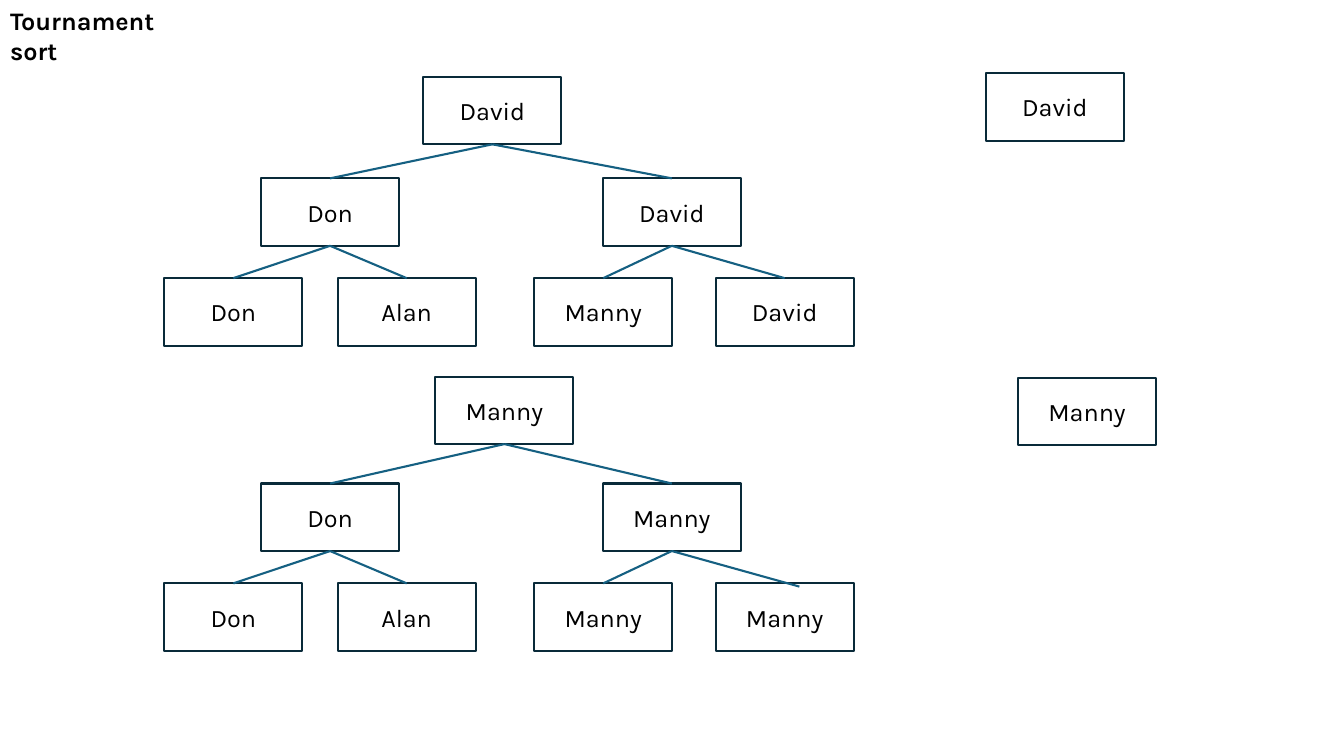
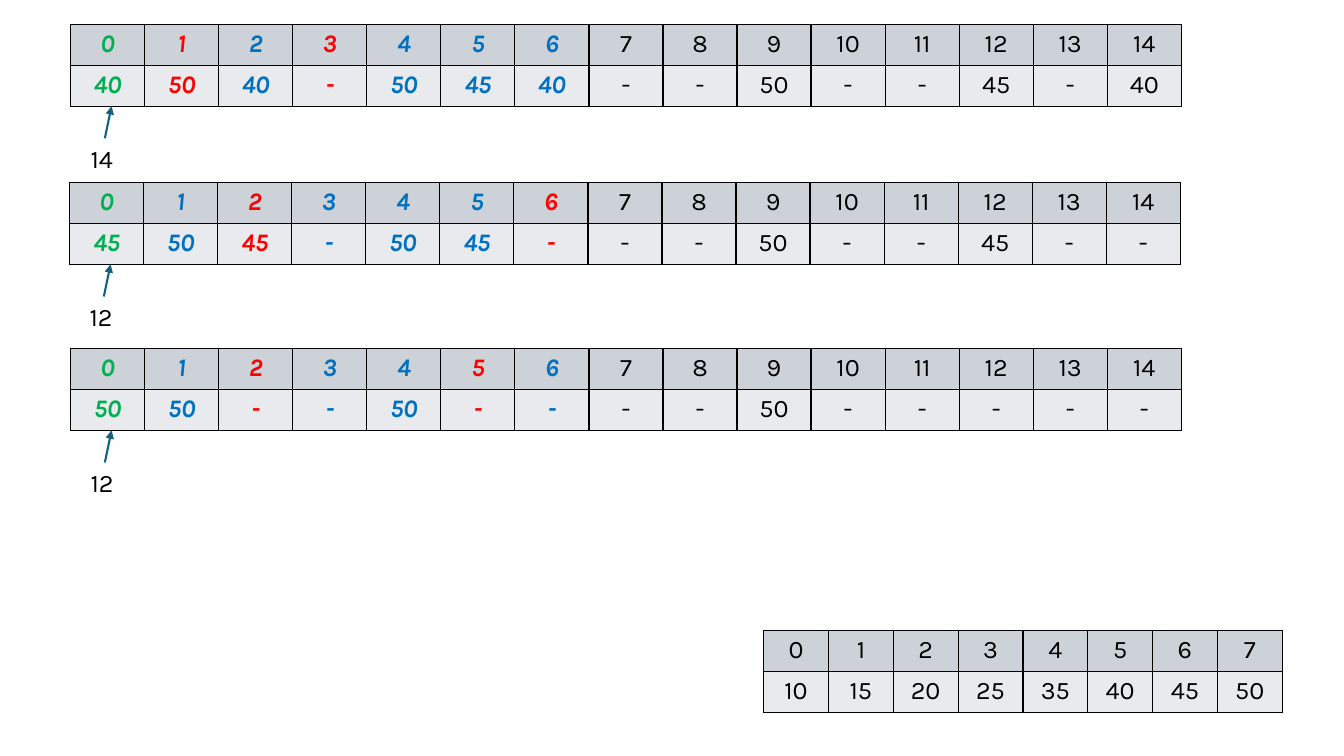
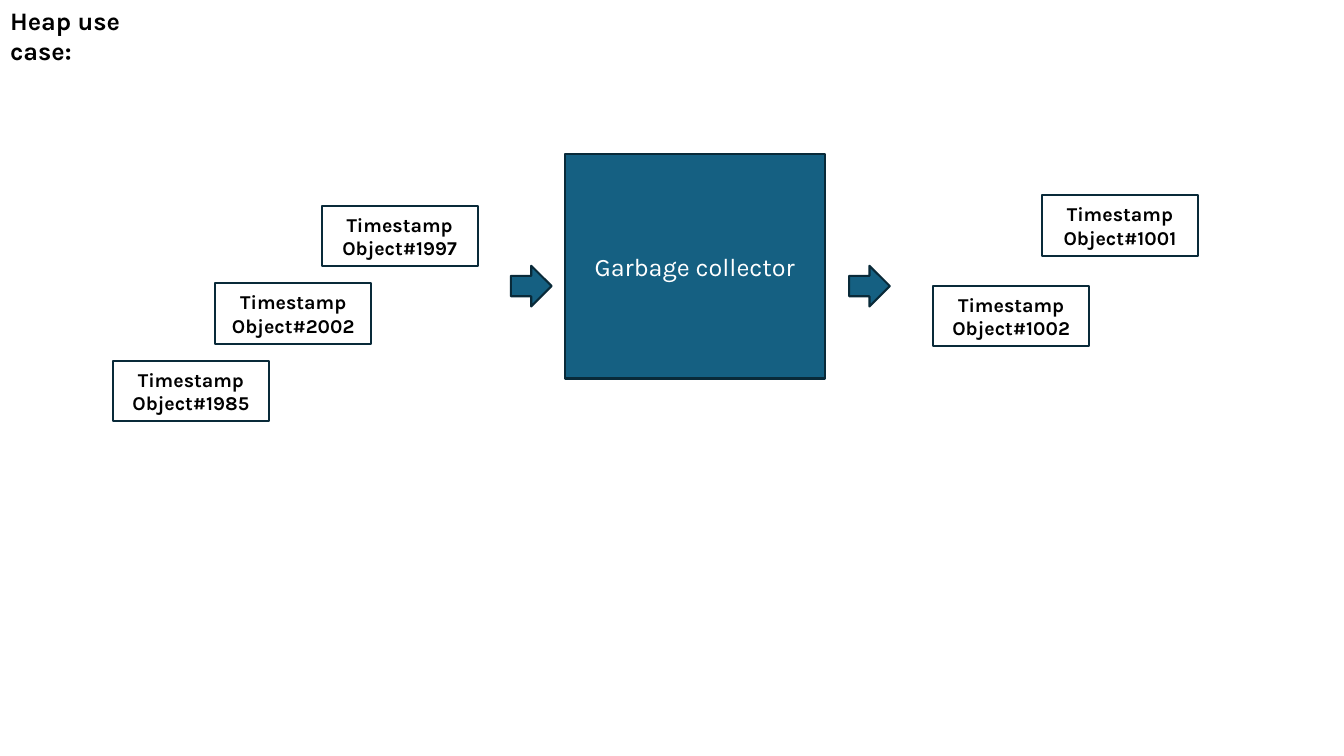
from dataclasses import dataclass

from lxml.etree import SubElement
from pptx import Presentation
from pptx.dml.color import RGBColor
from pptx.enum.shapes import MSO_CONNECTOR, MSO_SHAPE
from pptx.enum.text import MSO_ANCHOR, MSO_AUTO_SIZE, PP_ALIGN
from pptx.oxml.ns import qn
from pptx.util import Pt


@dataclass(frozen=True)
class Theme:
    font: str = "Karla"
    body_size: int = 18
    small_size: int = 14
    line_width: float = 1.5
    border_width: float = 1
    text: str = "000000"
    light_text: str = "FFFFFF"
    accent: str = "156082"
    outline: str = "092A39"
    index_fill: str = "CCD2D8"
    value_fill: str = "E8EAED"
    winner: str = "00B050"
    changed: str = "FF0000"
    inner_node: str = "0070C0"


THEME = Theme()
SLIDE_SIZE = (960, 540)
TITLE_ONLY, BLANK = 5, 6
TOP_SITE, BOTTOM_SITE = 0, 2

# Tournament trees
NODE_SIZE = (98.6, 48.2)
LEAF_LEFTS = (117.4, 241.2, 381.6, 511.2)
MIDDLE_LEFTS = (186.5, 430.6)
MIDDLE_RISE = 71.3
# root: left, top; output: left, top; last_link: end of the last leaf's line
TREES = [
    {
        "leaves": ("Don", "Alan", "Manny", "David"),
        "middle": ("Don", "David"),
        "winner": "David",
        "leaf_top": 198.7,
        "root": (302.4, 54.9),
        "output": (704.2, 52.3),
        "last_link": None,
    },
    {
        "leaves": ("Don", "Alan", "Manny", "Manny"),
        "middle": ("Don", "Manny"),
        "winner": "Manny",
        "leaf_top": 416.7,
        "root": (311, 269),
        "output": (727.2, 270),
        "last_link": (571, 419),
    },
]

# Tree arrays
ROW_HEIGHT = 29.2
INNER_NODE_COUNT = 7
ARRAYS = [
    {
        "at": (50.4, 17.4),
        "values": "40 50 40 - 50 45 40 - - 50 - - 45 - 40".split(),
        "changed": {1, 3},
        "pointer": "14",
    },
    {
        "at": (49.7, 130.4),
        "values": "45 50 45 - 50 45 - - - 50 - - 45 - -".split(),
        "changed": {2, 6},
        "pointer": "12",
    },
    {
        "at": (50.4, 249),
        "values": "50 50 - - 50 - - - - 50 - - - - -".split(),
        "changed": {2, 5},
        "pointer": "12",
    },
]
ARRAY_COLUMN, SORTED_COLUMN = 52.9, 46.3
SORTED_AT = (545.5, 450.4)
SORTED_VALUES = "10 15 20 25 35 40 45 50".split()

# Garbage collector
COLLECTOR_BOX = (403.6, 109.8, 185.4, 160.6)
ARROW_LEFTS, ARROW_TOP, ARROW_SIZE = (364.9, 606.5), 189.8, 29.1
OBJECT_SIZE = (111.6, 43.2)
OBJECTS = [
    ("1997", 229.7, 147.1),
    ("2002", 153.7, 202.4),
    ("1985", 80.6, 257.8),
    ("1001", 744.2, 139.6),
    ("1002", 666.5, 204.2),
]


def points(*values):
    return [Pt(value) for value in values]


def apply_format(target, values):
    for name, value in values.items():
        setattr(target, name, value)


def write(frame, lines, align=PP_ALIGN.CENTER, size=THEME.body_size,
          color=THEME.text, bold=False, italic=False):
    font_format = {"name": THEME.font, "size": Pt(size), "bold": bold, "italic": italic}
    for index, line in enumerate(lines):
        paragraph = frame.add_paragraph() if index else frame.paragraphs[0]
        paragraph.alignment = align
        run = paragraph.add_run()
        run.text = line
        apply_format(run.font, font_format)
        run.font.color.rgb = RGBColor.from_string(color)


def add_title(slide, text, width):
    title = slide.shapes.title
    left, top, width, height = points(0, 0, width, 50)
    apply_format(title, {"left": left, "top": top, "width": width, "height": height})
    apply_format(title.text_frame, {
        "word_wrap": True,
        "auto_size": MSO_AUTO_SIZE.NONE,
        "vertical_anchor": MSO_ANCHOR.TOP,
    })
    write(title.text_frame, [text], PP_ALIGN.LEFT, bold=True)


def add_box(slide, box, lines=(), kind=MSO_SHAPE.RECTANGLE, fill=None, **text_format):
    shape = slide.shapes.add_shape(kind, *points(*box))
    shape.shadow.inherit = False
    if fill:
        shape.fill.solid()
        shape.fill.fore_color.rgb = RGBColor.from_string(fill)
    else:
        shape.fill.background()
    shape.line.color.rgb = RGBColor.from_string(THEME.outline)
    shape.line.width = Pt(THEME.line_width)
    apply_format(shape.text_frame, {"word_wrap": True, "vertical_anchor": MSO_ANCHOR.MIDDLE})
    write(shape.text_frame, lines, **text_format)
    return shape


def add_line(slide, start=(0, 0), end=(0, 0), arrow=False):
    line = slide.shapes.add_connector(MSO_CONNECTOR.STRAIGHT, *points(*start, *end))
    line.line.color.rgb = RGBColor.from_string(THEME.accent)
    line.line.width = Pt(THEME.line_width)
    if arrow:
        SubElement(line.line._get_or_add_ln(), qn("a:tailEnd"), type="triangle")
    SubElement(line._element.spPr, qn("a:effectLst"))
    return line


def link(slide, child, parent, child_end=None):
    """Joins a child's top to its parent's bottom, or starts at a free point."""
    line = add_line(slide, child_end or (0, 0))
    if child_end is None:
        line.begin_connect(child, TOP_SITE)
    line.end_connect(parent, BOTTOM_SITE)


def add_tree(slide, tree):
    def add_level(names, lefts, top):
        return [add_box(slide, (left, top, *NODE_SIZE), [name])
                for name, left in zip(names, lefts)]

    leaves = add_level(tree["leaves"], LEAF_LEFTS, tree["leaf_top"])
    middle = add_level(tree["middle"], MIDDLE_LEFTS, tree["leaf_top"] - MIDDLE_RISE)
    root, _ = [add_box(slide, (*tree[place], *NODE_SIZE), [tree["winner"]])
               for place in ("root", "output")]
    for index, leaf in enumerate(leaves):
        child_end = tree["last_link"] if leaf is leaves[-1] else None
        link(slide, leaf, middle[index // 2], child_end)
    for node in middle:
        link(slide, node, root)


def draw_borders(cell):
    properties = cell._tc.get_or_add_tcPr()
    for side in ("lnL", "lnR", "lnT", "lnB"):
        border = SubElement(properties, qn(f"a:{side}"), w=str(Pt(THEME.border_width)))
        fill = SubElement(border, qn("a:solidFill"))
        SubElement(fill, qn("a:srgbClr"), val=THEME.text)


def add_array(slide, at, values, column_width, text_format=lambda index: {}):
    """Draws a row of indexes above a row of values."""
    count = len(values)
    table = slide.shapes.add_table(
        2, count, *points(*at, column_width * count, 2 * ROW_HEIGHT)).table
    apply_format(table, {"first_row": False, "horz_banding": False})
    for column in table.columns:
        column.width = Pt(column_width)
    rows = [(THEME.index_fill, map(str, range(count))), (THEME.value_fill, values)]
    for row, (fill, texts) in enumerate(rows):
        table.rows[row].height = Pt(ROW_HEIGHT)
        for index, text in enumerate(texts):
            cell = table.cell(row, index)
            draw_borders(cell)
            cell.fill.solid()
            cell.fill.fore_color.rgb = RGBColor.from_string(fill)
            write(cell.text_frame, [text], **text_format(index))


def add_pointer(slide, at, text):
    left, top = at
    label_top = top + 81.4
    label = slide.shapes.add_textbox(*points(left + 7.2, label_top, 33.8, 28.8))
    label.text_frame.word_wrap = False
    write(label.text_frame, [text], PP_ALIGN.LEFT)
    add_line(slide, (left + 24.5, label_top), (left + 29.3, top + 2 * ROW_HEIGHT), arrow=True)


def build_tournament(slide):
    add_title(slide, "Tournament sort", 150.5)
    for tree in TREES:
        add_tree(slide, tree)


def build_arrays(slide):
    add_array(slide, SORTED_AT, SORTED_VALUES, SORTED_COLUMN)
    for array in ARRAYS:
        def node_format(index):
            if index >= INNER_NODE_COUNT:
                return {}
            color = THEME.changed if index in array["changed"] else THEME.inner_node
            return {"color": color if index else THEME.winner, "bold": True, "italic": True}

        add_array(slide, array["at"], array["values"], ARRAY_COLUMN, node_format)
        add_pointer(slide, array["at"], array["pointer"])


def build_collector(slide):
    add_title(slide, "Heap use case:", 140.4)
    add_box(slide, COLLECTOR_BOX, ["Garbage collector"], fill=THEME.accent,
            color=THEME.light_text)
    for left in ARROW_LEFTS:
        add_box(slide, (left, ARROW_TOP, ARROW_SIZE, ARROW_SIZE),
                kind=MSO_SHAPE.RIGHT_ARROW, fill=THEME.accent)
    for number, left, top in OBJECTS:
        add_box(slide, (left, top, *OBJECT_SIZE), ["Timestamp", f"Object#{number}"],
                size=THEME.small_size, bold=True)


def main():
    presentation = Presentation()
    presentation.slide_width, presentation.slide_height = points(*SLIDE_SIZE)
    for layout, build in ((TITLE_ONLY, build_tournament), (BLANK, build_arrays),
                          (TITLE_ONLY, build_collector)):
        build(presentation.slides.add_slide(presentation.slide_layouts[layout]))
    presentation.save("out.pptx")


if __name__ == "__main__":
    main()
